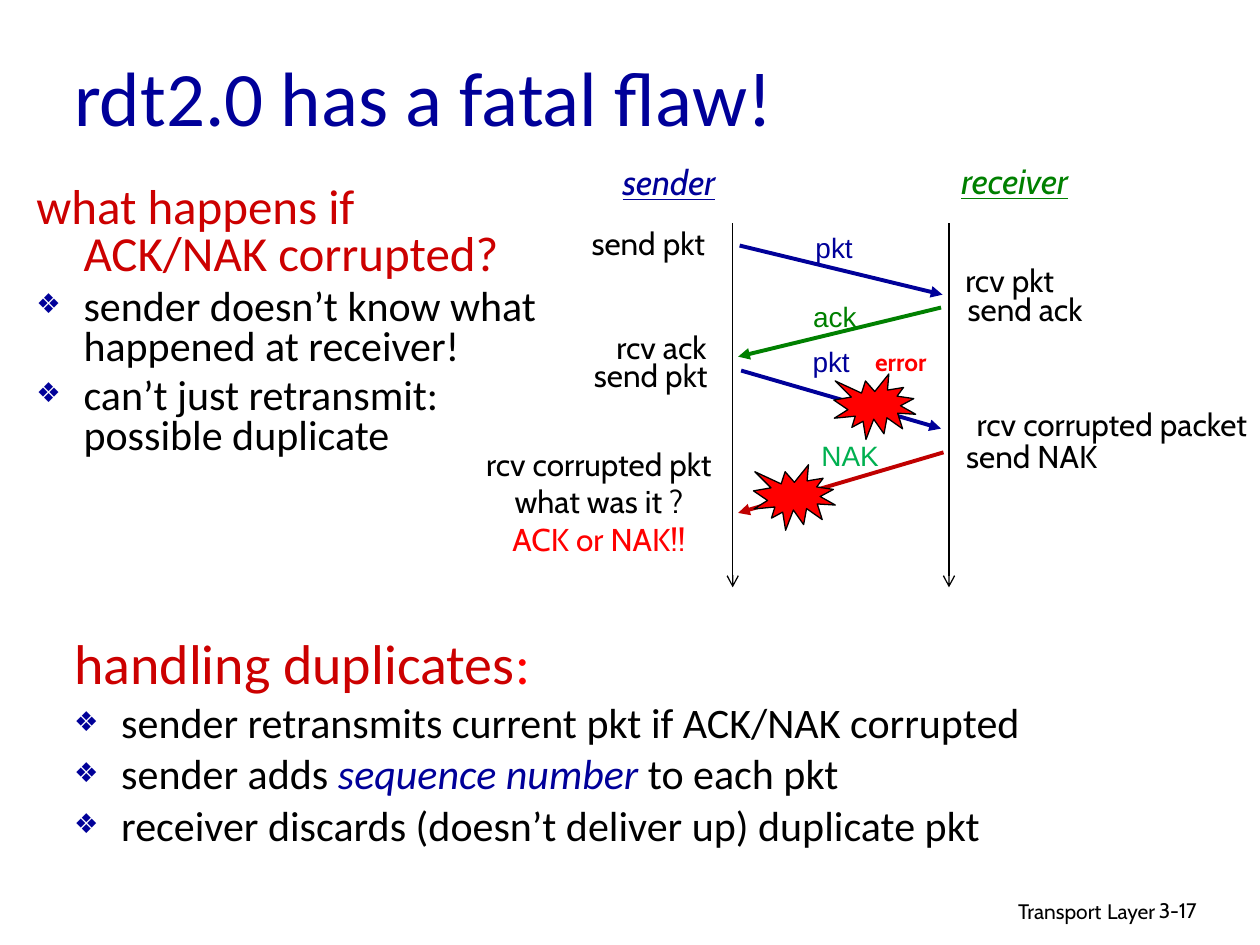
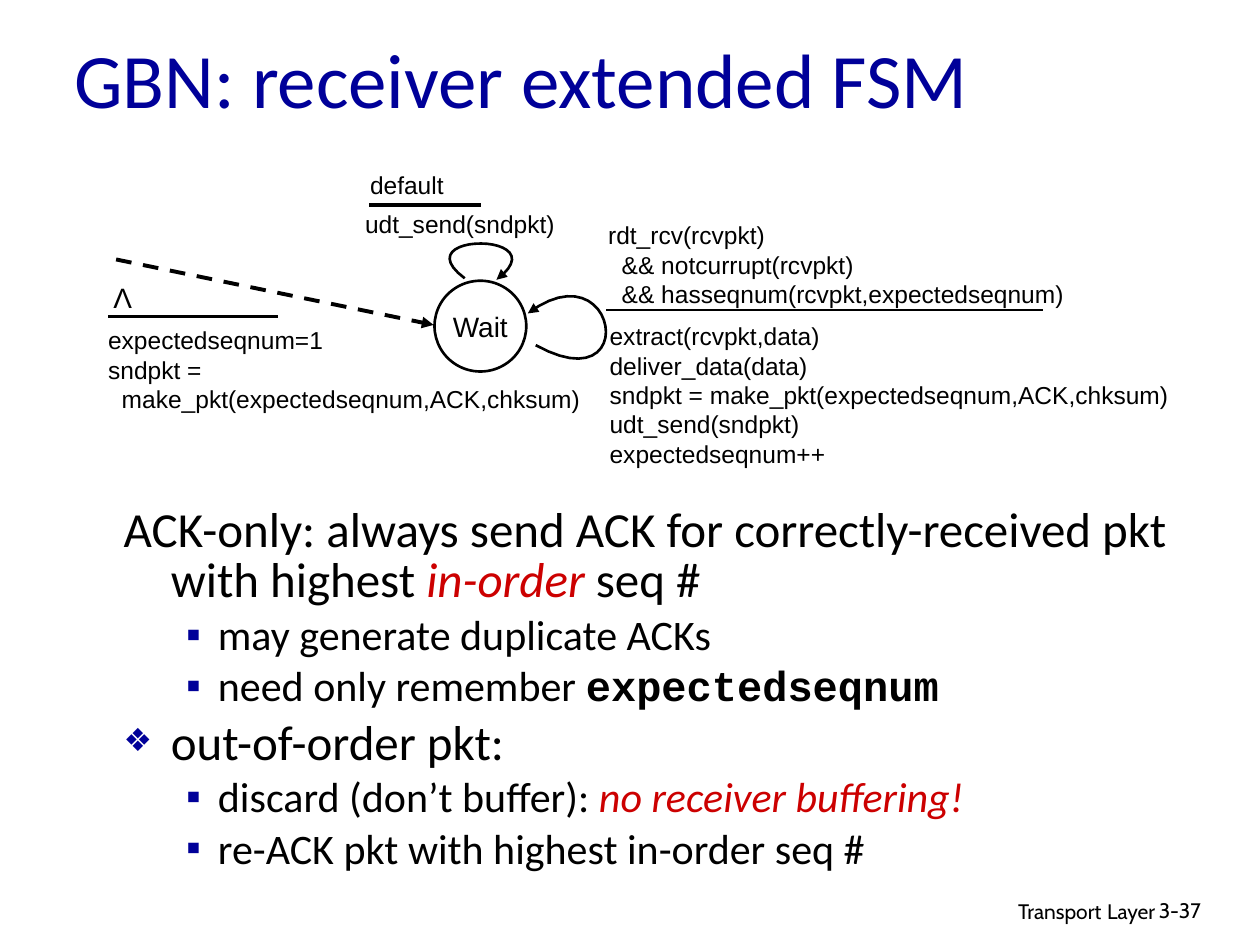
from lxml.etree import SubElement
from pptx import Presentation
from pptx.dml.color import RGBColor
from pptx.enum.dml import MSO_LINE
from pptx.enum.shapes import MSO_CONNECTOR, MSO_SHAPE
from pptx.enum.text import MSO_ANCHOR, MSO_AUTO_SIZE, PP_ALIGN as AL
from pptx.oxml.ns import qn
from pptx.util import Cm, Pt

rgb = RGBColor.from_string
NAVY, RED, BRIGHT, GREEN, BLACK = "000099", "CC0000", "FF0000", "008000", "000000"
TITLE = {"name": "Calibri", "size": Pt(44), "color": NAVY}
BODY = {"name": "Calibri", "size": Pt(24), "color": BLACK}
FOOT = {"name": "Cabin", "size": Pt(12), "color": BLACK}
EVENT = {"name": "Cabin", "size": Pt(18), "color": BLACK}
ROLE = {"name": "Cabin", "size": Pt(20), "italic": True, "underline": True}
MESSAGE = {"name": "Arial", "size": Pt(16), "color": NAVY}
CODE = {"name": "Arial", "size": Pt(14), "color": BLACK}
BIG = {"size": Pt(28)}
STRESS = {"color": RED, "italic": True}
BULLETS = {
    "plain": (0, 0.95, -0.95, None, None),
    "diamond": (0, 0.95, -0.95, "❖", 65),
    "square": (1, 1.9, -0.64, "▪", 100),
}


def write(tf, paras, base, align=AL.LEFT, wrap=True):
    tf.word_wrap = wrap
    tf.auto_size = MSO_AUTO_SIZE.NONE
    for i, runs in enumerate(paras):
        p = tf.add_paragraph() if i else tf.paragraphs[0]
        p.alignment = align
        for text, changes in runs:
            r = p.add_run()
            r.text = text
            for key, value in (base | changes).items():
                if key == "color":
                    r.font.color.rgb = rgb(value)
                else:
                    setattr(r.font, key, value)


def stroke(sp, color, width, tail=None):
    sp.line.color.rgb = rgb(color)
    sp.line.width = Pt(width)
    if tail:
        SubElement(sp.get_or_add_ln(), qn("a:tailEnd"), type=tail)
    SubElement(sp.element.spPr, qn("a:effectLst"))


prs = Presentation()
prs.slide_width, prs.slide_height = Cm(25.4), Cm(19.05)

pages = [
    (3, "rdt2.0 has a fatal flaw!", (0.51, 2.82), "3-17", [
        ((0.48, 3.63, 10.59, 12.9), 0.8, [
            ("plain", [("what happens if ACK/NAK corrupted?", BIG | {"color": RED})]),
            ("diamond", [("sender doesn’t know what happened at receiver!", {})]),
            ("diamond", [("can’t just retransmit: possible duplicate", {})]),
        ]),
        ((1.24, 12.75, 21.26, 5.94), 0.85, [
            ("plain", [("handling duplicates", {"size": Pt(32), "color": RED}),
                       (":", {"size": Pt(32), "color": BRIGHT})]),
            ("diamond", [("sender retransmits current pkt if ACK/NAK corrupted", {})]),
            ("diamond", [("sender adds ", {}),
                         ("sequence number", {"color": NAVY, "italic": True}),
                         (" to each pkt", {})]),
            ("diamond", [("receiver discards (doesn’t deliver up) duplicate pkt", {})]),
        ]),
    ]),
    (1, "GBN: receiver extended FSM", (0.58, 1.96), "3-37", [
        ((2.24, 10.11, 22.63, 7.92), 0.85, [
            ("plain", [("ACK-only: always send ACK for correctly-received pkt with highest ", BIG),
                       ("in-order", BIG | STRESS), (" seq #", BIG)]),
            ("square", [("may generate duplicate ACKs", {})]),
            ("square", [("need only remember ", {}),
                        ("expectedseqnum", {"name": "Courier New", "bold": True})]),
            ("diamond", [("out-of-order pkt:", BIG)]),
            ("square", [("discard (don’t buffer): ", {}),
                        ("no receiver buffering!", STRESS)]),
            ("square", [("re-ACK pkt with highest in-order seq #", {})]),
        ]),
    ]),
]

for layout, title, (top, height), number, bodies in pages:
    s = prs.slides.add_slide(prs.slide_layouts[layout])
    sp = s.shapes.title
    sp.left, sp.top, sp.width, sp.height = Cm(1.24), Cm(top), Cm(21.59), Cm(height)
    sp.text_frame.vertical_anchor = MSO_ANCHOR.MIDDLE
    write(sp.text_frame, [[(title, {})]], TITLE)

    tb = s.shapes.add_textbox(Cm(15.49), Cm(17.91), Cm(8.05), Cm(0.79))
    footer = [("Transport", {}), (" ", {"size": Pt(14)}), ("Layer", {})]
    write(tb.text_frame, [footer], FOOT, AL.RIGHT)
    tb = s.shapes.add_textbox(Cm(23.11), Cm(17.96), Cm(1.88), Cm(0.76))
    write(tb.text_frame, [[(number, {})]], FOOT)

    for i, (box, spacing, items) in enumerate(bodies, 1):
        sp = s.placeholders[i]
        sp.left, sp.top, sp.width, sp.height = map(Cm, box)
        tf = sp.text_frame
        write(tf, [runs for kind, runs in items], BODY)
        for j, (p, (kind, runs)) in enumerate(zip(tf.paragraphs, items)):
            level, margin, indent, char, percent = BULLETS[kind]
            p.level = level
            p.line_spacing = spacing
            p.space_before = Pt(p.runs[0].font.size.pt * 0.2 if j else 0)
            pPr = p._p.get_or_add_pPr()
            pPr.set("marL", str(Cm(margin)))
            pPr.set("indent", str(Cm(indent)))
            if char:
                SubElement(SubElement(pPr, qn("a:buClr")), qn("a:srgbClr"), val=NAVY)
                SubElement(pPr, qn("a:buSzPct"), val=str(percent * 1000))
                SubElement(pPr, qn("a:buChar"), char=char)
            else:
                SubElement(pPr, qn("a:buNone"))

flaw, fsm = prs.slides

timelines = [(x, 4.5, x, 11.84, BLACK, 0.75, "arrow") for x in (14.77, 19.13)]
messages = [
    (14.91, 4.95, 19, 5.94, NAVY, 2.25, "triangle"),
    (18.97, 6.2, 14.88, 7.19, GREEN, 2.25, "triangle"),
    (14.94, 7.47, 18.97, 8.64, NAVY, 2.25, "triangle"),
    (19.02, 9.12, 14.88, 10.34, "C00000", 2.25, "triangle"),
]
for x1, y1, x2, y2, color, width, tail in timelines + messages:
    ln = flaw.shapes.add_connector(MSO_CONNECTOR.STRAIGHT, Cm(x1), Cm(y1), Cm(x2), Cm(y2))
    stroke(ln, color, width, tail)

for x, y in [(16.81, 7.54), (15.19, 9.37)]:
    sp = flaw.shapes.add_shape(MSO_SHAPE.EXPLOSION1, Cm(x), Cm(y), Cm(1.65), Cm(1.32))
    sp.fill.solid()
    sp.fill.fore_color.rgb = rgb(BRIGHT)
    stroke(sp, BLACK, 0.75)

labels = [
    ("sender", 12.19, 3.12, 2.59, 1.09, ROLE | {"color": NAVY}),
    ("receiver", 18.97, 3.1, 2.97, 1.09, ROLE | {"color": GREEN}),
    ("send pkt", 11.61, 4.39, 2.92, 1.02, EVENT),
    ("rcv pkt", 19.15, 5.13, 2.41, 1.02, EVENT),
    ("send ack", 19.18, 5.72, 2.97, 1.02, EVENT),
    ("rcv ack", 12.09, 6.48, 2.49, 1.02, EVENT),
    ("send pkt", 11.66, 7.06, 2.92, 1.02, EVENT),
    ("rcv corrupted packet", 19.28, 8.05, 6.27, 1.02, EVENT),
    ("send NAK", 19.2, 8.69, 3.2, 1.02, EVENT),
    ("pkt", 16.18, 4.52, 1.27, 0.94, MESSAGE),
    ("ack", 15.98, 5.92, 1.7, 0.94, MESSAGE | {"color": GREEN}),
    ("pkt", 15.98, 6.83, 1.55, 0.94, MESSAGE),
    ("NAK", 15.77, 8.71, 2.74, 0.94, MESSAGE | {"color": "00B050"}),
    ("error", 17.27, 6.88, 1.78, 0.86,
     {"name": "Cabin", "size": Pt(14), "color": BRIGHT, "bold": True}),
]
for text, x, y, w, h, fmt in labels:
    tb = flaw.shapes.add_textbox(Cm(x), Cm(y), Cm(w), Cm(h))
    write(tb.text_frame, [[(text, {})]], fmt, AL.CENTER, False)

tb = flaw.shapes.add_textbox(Cm(9.42), Cm(8.84), Cm(5.31), Cm(2.57))
doubt = [[("rcv corrupted pkt", {})], [("what was it ?", {})],
         [("ACK or NAK!!", {"color": BRIGHT})]]
write(tb.text_frame, doubt, EVENT, AL.CENTER, False)

state = fsm.shapes.add_shape(MSO_SHAPE.OVAL, Cm(8.76), Cm(5.66), Cm(1.85), Cm(1.83))
state.fill.solid()
state.fill.fore_color.rgb = rgb("FFFFFF")
stroke(state, BLACK, 1.5)
tf = state.text_frame
tf.margin_left = tf.margin_right = tf.margin_top = tf.margin_bottom = 0
tf.vertical_anchor = MSO_ANCHOR.MIDDLE
write(tf, [[("Wait", {})]], MESSAGE | {"color": BLACK}, AL.CENTER, False)

start = fsm.shapes.add_connector(MSO_CONNECTOR.STRAIGHT, Cm(2.34), Cm(5.23), Cm(8.74), Cm(6.55))
start.line.dash_style = MSO_LINE.DASH
stroke(start, BLACK, 2.25, "triangle")
for x1, x2, y, width in [(7.44, 9.7, 4.14, 2.25), (12.22, 21.03, 6.25, 1.5),
                         (2.18, 5.61, 6.38, 2.25)]:
    ln = fsm.shapes.add_connector(MSO_CONNECTOR.STRAIGHT, Cm(x1), Cm(y), Cm(x2), Cm(y))
    stroke(ln, BLACK, width)

loops = [
    [(10.8, 6.96), (12.95, 8.15), (12.45, 4.95), (10.64, 6.32)],
    [(9.37, 5.61), (8.1, 4.67), (11.3, 4.67), (10.01, 5.64)],
]
STEPS = 24
for curve in loops:
    points = []
    for i in range(STEPS + 1):
        t = i / STEPS
        weights = ((1 - t) ** 3, 3 * t * (1 - t) ** 2, 3 * t * t * (1 - t), t ** 3)
        points.append(tuple(Cm(sum(k * c for k, c in zip(weights, axis)))
                            for axis in zip(*curve)))
    builder = fsm.shapes.build_freeform(*points[0])
    builder.add_line_segments(points[1:], close=False)
    sp = builder.convert_to_shape()
    sp.fill.background()
    stroke(sp, BLACK, 1.5, "triangle")

actions = [
    (7.21, 3.3, 2.01, 0.69, ["default"]),
    (7.11, 4.09, 4.5, 0.86, ["udt_send(sndpkt)"]),
    (12.01, 4.32, 9.91, 1.57, ["rdt_rcv(rcvpkt)", "  && notcurrupt(rcvpkt)",
                               "  && hasseqnum(rcvpkt,expectedseqnum)"]),
    (12.04, 6.35, 11.99, 2.39, ["extract(rcvpkt,data)", "deliver_data(data)",
                                "sndpkt = make_pkt(expectedseqnum,ACK,chksum)",
                                "udt_send(sndpkt)", "expectedseqnum++"]),
    (1.93, 6.43, 10.11, 2.72, ["expectedseqnum=1", "sndpkt =",
                               "  make_pkt(expectedseqnum,ACK,chksum)"]),
]
for x, y, w, h, lines in actions:
    tb = fsm.shapes.add_textbox(Cm(x), Cm(y), Cm(w), Cm(h))
    write(tb.text_frame, [[(line, {})] for line in lines], CODE)

tb = fsm.shapes.add_textbox(Cm(2.03), Cm(5.54), Cm(0.89), Cm(0.94))
write(tb.text_frame, [[("Λ", {})]], MESSAGE | {"color": BLACK}, AL.CENTER, False)

prs.save("out.pptx")
